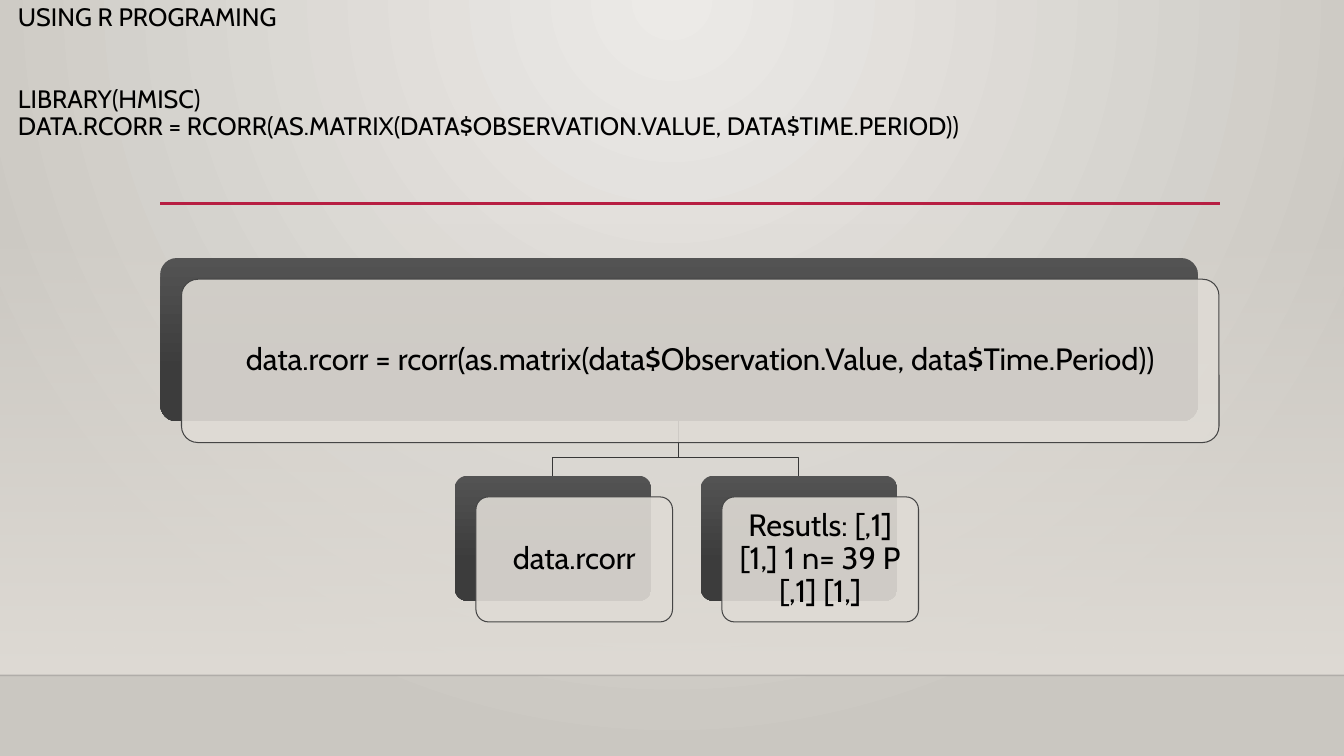
from dataclasses import dataclass

from lxml.etree import SubElement
from pptx import Presentation
from pptx.dml.color import RGBColor
from pptx.enum.shapes import MSO_CONNECTOR as Connector, MSO_SHAPE as Shape
from pptx.enum.text import MSO_ANCHOR as Anchor, PP_ALIGN as Align
from pptx.oxml.ns import qn
from pptx.util import Pt

PX = 9144
WIDTH, HEIGHT = 1333, 750


@dataclass(frozen=True)
class Theme:
    font: str = "Cabin"
    title_size: int = 18
    node_size: int = 22
    text: str = "000000"
    accent: str = "B71E42"
    floor_line: str = "000001"
    branch: str = "373737"
    card: str = "DFDBD5"
    card_line: str = "454545"
    backdrop: tuple = ((0, "ECEAE7", 100), (100, "CAC7C1", 100))
    wall: tuple = ((0, "DFDBD5", 0), (100, "DFDBD5", 100))
    shade: tuple = ((0, "535353", 100), (69, "3C3C3C", 100), (100, "393939", 100))


THEME = Theme()


def px(*lengths):
    return [length * PX for length in lengths]


def set_alpha(color, percent):
    SubElement(color, qn("a:alpha"), val=str(percent * 1000))


def set_gradient(owner, fill, stops, radial=False):
    fill.gradient()
    gradient = owner.element.find(".//" + qn("a:gradFill"))
    gradient.clear()
    stop_list = SubElement(gradient, qn("a:gsLst"))
    for position, color, alpha in stops:
        stop = SubElement(stop_list, qn("a:gs"), pos=str(position * 1000))
        set_alpha(SubElement(stop, qn("a:srgbClr"), val=color), alpha)
    if radial:
        path = SubElement(gradient, qn("a:path"), {"path": "circle"})
        SubElement(path, qn("a:fillToRect"), l="43000", t="0", r="43000", b="100000")
    else:
        SubElement(gradient, qn("a:lin"), ang="5400000", scaled="0")


def set_line(shape, color, width):
    shape.line.color.rgb = RGBColor.from_string(color)
    shape.line.width = Pt(width)


def add_rule(slide, left, right, y, color, width):
    rule = slide.shapes.add_connector(Connector.STRAIGHT, *px(left, y, right, y))
    set_line(rule, color, width)
    SubElement(rule.element.spPr, qn("a:effectLst"))
    return rule


def add_panel(slide, kind, box):
    panel = slide.shapes.add_shape(kind, *px(*box))
    panel.shadow.inherit = False
    panel.line.fill.background()
    return panel


def format_text(text_frame, size, align):
    text_frame.word_wrap = True
    for paragraph in text_frame.paragraphs:
        paragraph.alignment = align
        paragraph.line_spacing = 0.9
        for run in paragraph.runs:
            run.font.name = THEME.font
            run.font.size = Pt(size)
            run.font.color.rgb = RGBColor.from_string(THEME.text)


def add_backdrop(slide, box):
    left, top, width, height = box
    set_gradient(slide, slide.background.fill, THEME.backdrop, radial=True)
    floor = top + height
    wall = add_panel(slide, Shape.RECTANGLE, box)
    set_gradient(wall, wall.fill, THEME.wall)
    edge = add_rule(slide, left, left + width, floor, THEME.floor_line, 1)
    set_alpha(edge.element.find(".//" + qn("a:srgbClr")), 20)


def add_title(slide, box, lines):
    text_frame = slide.shapes.add_textbox(*px(*box)).text_frame
    text_frame.text = "\n".join(lines)
    text_frame.vertical_anchor = Anchor.TOP
    text_frame.paragraphs[0].space_after = Pt(39)
    format_text(text_frame, THEME.title_size, Align.LEFT)


def add_branch(slide, parent, child):
    start_x = parent[0] + parent[2] // 2
    start_y = parent[1] + parent[3]
    end_x, end_y = child[0] + child[2] // 2, child[1]
    bend_y = end_y - 18
    builder = slide.shapes.build_freeform(start_x, start_y, scale=PX)
    builder.add_line_segments(
        [(start_x, bend_y), (end_x, bend_y), (end_x, end_y)], close=False
    )
    branch = builder.convert_to_shape()
    branch.shadow.inherit = False
    branch.fill.background()
    set_line(branch, THEME.branch, 0.75)


def add_node(slide, box, text):
    left, top, width, height = box
    shade = add_panel(slide, Shape.ROUNDED_RECTANGLE, box)
    set_gradient(shade, shade.fill, THEME.shade)
    card_box = (left + 21, top + 21, width, height)
    card = add_panel(slide, Shape.ROUNDED_RECTANGLE, card_box)
    card.fill.solid()
    card.fill.fore_color.rgb = RGBColor.from_string(THEME.card)
    set_alpha(card.element.spPr.find(".//" + qn("a:srgbClr")), 90)
    set_line(card, THEME.card_line, 0.75)
    for panel in (shade, card):
        panel.adjustments[0] = 0.1
    text_frame = card.text_frame
    text_frame.text = text
    text_frame.vertical_anchor = Anchor.MIDDLE
    text_frame.margin_left = text_frame.margin_right = 9 * PX
    text_frame.margin_top = text_frame.margin_bottom = 9 * PX
    format_text(text_frame, THEME.node_size, Align.CENTER)


def add_hierarchy(slide, box, root_text, child_texts):
    left, top, width, height = box
    root = (left, top, width, 162)
    child_width, child_height, step = 195, 124, 244
    first = left + 292
    children = [
        (first + index * step, top + height - child_height, child_width, child_height)
        for index in range(len(child_texts))
    ]
    for child in reversed(children):
        add_branch(slide, root, child)
    add_node(slide, root, root_text)
    for child, text in zip(children, child_texts):
        add_node(slide, child, text)


def main():
    presentation = Presentation()
    presentation.slide_width, presentation.slide_height = px(WIDTH, HEIGHT)
    slide = presentation.slides.add_slide(presentation.slide_layouts[6])
    add_backdrop(slide, (0, 221, WIDTH, 449))
    add_rule(slide, 159, 1210, 202, THEME.accent, 2.5)
    add_title(
        slide,
        (8, 0, 1309, 178),
        [
            "USING R PROGRAMING",
            "LIBRARY(HMISC)",
            "DATA.RCORR = RCORR(AS.MATRIX(DATA$OBSERVATION.VALUE, DATA$TIME.PERIOD))",
        ],
    )
    add_hierarchy(
        slide,
        (159, 256, 1029, 340),
        "data.rcorr = rcorr(as.matrix(data$Observation.Value, data$Time.Period))",
        ["data.rcorr", "Resutls: [,1] [1,] 1 n= 39 P [,1] [1,]"],
    )
    presentation.save("out.pptx")


if __name__ == "__main__":
    main()
